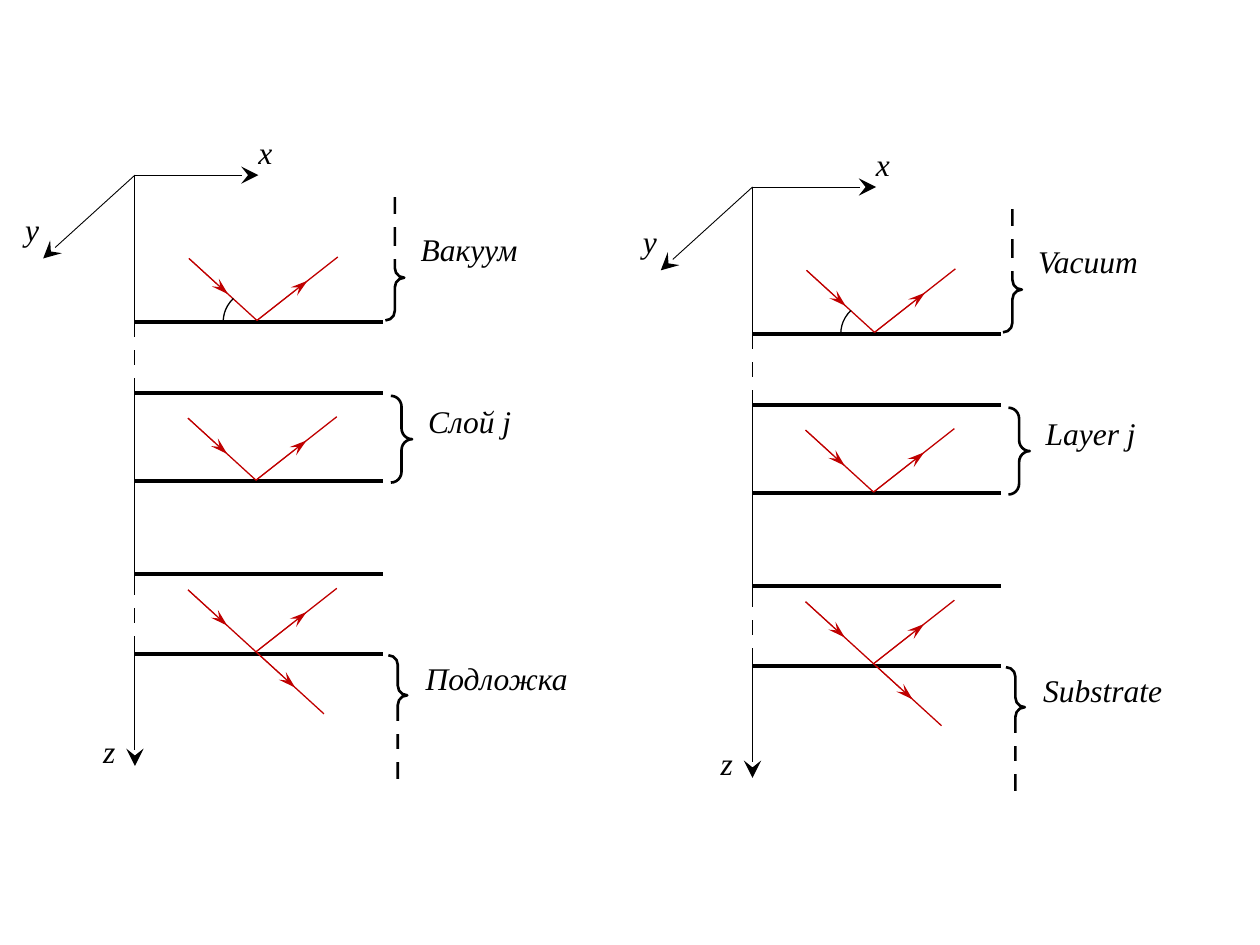
from lxml import etree
from pptx import Presentation
from pptx.dml.color import RGBColor
from pptx.enum import shapes, text
from pptx.oxml.ns import qn
from pptx.util import Cm, Pt

BLACK = RGBColor(0x00, 0x00, 0x00)
WHITE = RGBColor(0xFF, 0xFF, 0xFF)
RED = RGBColor(0xC0, 0x00, 0x00)
SHAPE = shapes.MSO_SHAPE

# Everything below is in cm, measured from the origin of a diagram's axes
INTERFACES = [2.97, 4.39, 6.17, 8.05, 9.65]
INTERFACE_LENGTH = 5.0
AXES = [("z", (0, 11.91), (-0.89, 11.1)),
        ("x", (2.49, 0), (2.24, -0.97)),
        ("y", (-1.85, 1.68), (-2.46, 0.58))]

# Points where the rays meet an interface, and whether a ray passes through
HITS = [(2.46, 2.93, False), (2.44, 6.15, False), (2.44, 9.61, True)]
# Each ray: start, end and arrow tip, measured from the hit point
INCIDENT = ((-1.37, -1.25), (0, 0), (-0.58, -0.53))
REFLECTED = ((0, 0), (1.63, -1.28), (1.02, -0.8))
TRANSMITTED = ((0, 0), (1.37, 1.25), (0.79, 0.72))

# Braces: left, top, width, height, position of the point
BRACES = [(5.05, 0.24, 0.38, 2.69, 0.68),
          (5.16, 4.45, 0.43, 1.75, 0.5),
          (5.11, 9.68, 0.38, 2.69, 0.3)]
LABEL_BOXES = [(5.51, 0.99, 3.81), (5.66, 4.45, 3.02), (5.61, 9.63, 3.81)]

# White gaps that make lines look dashed
GAPS = [(-0.2, 3.28), (-0.23, 3.84), (-0.2, 8.48), (-0.23, 9.04),
        (5.0, 0.2), (5.13, 0.81), (5.13, 1.45),
        (5.03, 11.02), (5.03, 11.58), (5.03, 12.19)]

DIAGRAMS = [(2.72, 3.53, ["Вакуум", "Слой j", "Подложка"]),
            (15.17, 3.77, ["Vacuum", "Layer j", "Substrate"])]


def add_line(group, start, end, color, width, arrow_width=None):
    line = group.shapes.add_connector(
        shapes.MSO_CONNECTOR.STRAIGHT,
        Cm(start[0]), Cm(start[1]), Cm(end[0]), Cm(end[1]))
    line.line.color.rgb = color
    line.line.width = Pt(width)
    if arrow_width:
        etree.SubElement(line.line._get_or_add_ln(), qn("a:tailEnd"),
                         type="stealth", w=arrow_width, len="lg")
    etree.SubElement(line._element.spPr, qn("a:effectLst"))


def add_label(group, label, left, top, width):
    box = group.shapes.add_textbox(Cm(left), Cm(top), Cm(width), Cm(1.02))
    tf = box.text_frame
    tf.word_wrap = True
    tf.auto_size = text.MSO_AUTO_SIZE.SHAPE_TO_FIT_TEXT
    p = tf.paragraphs[0]
    p.text = label
    p.font.name = "Times New Roman"
    p.font.size = Pt(18)
    p.font.italic = True
    p.font.color.rgb = BLACK


prs = Presentation()
prs.slide_width, prs.slide_height = Cm(25.4), Cm(19.05)
s = prs.slides.add_slide(prs.slide_layouts[6])

for x0, y0, labels in DIAGRAMS:
    group = s.shapes.add_group_shape()

    # Layer interfaces
    for y in INTERFACES:
        add_line(group, (x0, y0 + y), (x0 + INTERFACE_LENGTH, y0 + y), BLACK, 2.25)

    # Axes and their names
    for name, (x, y), (left, top) in AXES:
        add_line(group, (x0, y0), (x0 + x, y0 + y), BLACK, 0.5, "lg")
        add_label(group, name, x0 + left, y0 + top, 1.42)

    # Rays, each with a shorter arrow on top
    for hit_x, hit_y, passes in HITS:
        rays = [INCIDENT, REFLECTED] + ([TRANSMITTED] if passes else [])
        for ray in rays:
            start, end, tip = [(x0 + hit_x + x, y0 + hit_y + y) for x, y in ray]
            add_line(group, start, end, RED, 0.75)
            add_line(group, start, tip, RED, 0.5, "med")

    # Angle of incidence and braces
    outlines = [(SHAPE.ARC, 1.78, 2.31, 1.32, 1.3, 0.75, (107.73, 135.55))]
    outlines += [(SHAPE.RIGHT_BRACE, *box, 1.5, (0.51, point))
                 for *box, point in BRACES]
    for kind, left, top, width, height, weight, adjustments in outlines:
        sp = group.shapes.add_shape(
            kind, Cm(x0 + left), Cm(y0 + top), Cm(width), Cm(height))
        for i, value in enumerate(adjustments):
            sp.adjustments[i] = value
        sp.fill.background()
        sp.line.color.rgb = BLACK
        sp.line.width = Pt(weight)
        sp.shadow.inherit = False

    # Layer names
    for label, (left, top, width) in zip(labels, LABEL_BOXES):
        add_label(group, label, x0 + left, y0 + top, width)

    # Gaps in the z axis and the open braces
    for left, top in GAPS:
        sp = group.shapes.add_shape(
            SHAPE.RECTANGLE, Cm(x0 + left), Cm(y0 + top), Cm(0.43), Cm(0.23))
        sp.fill.solid()
        sp.fill.fore_color.rgb = WHITE
        sp.line.color.rgb = WHITE
        sp.line.width = Pt(1)
        sp.shadow.inherit = False

prs.save("out.pptx")
